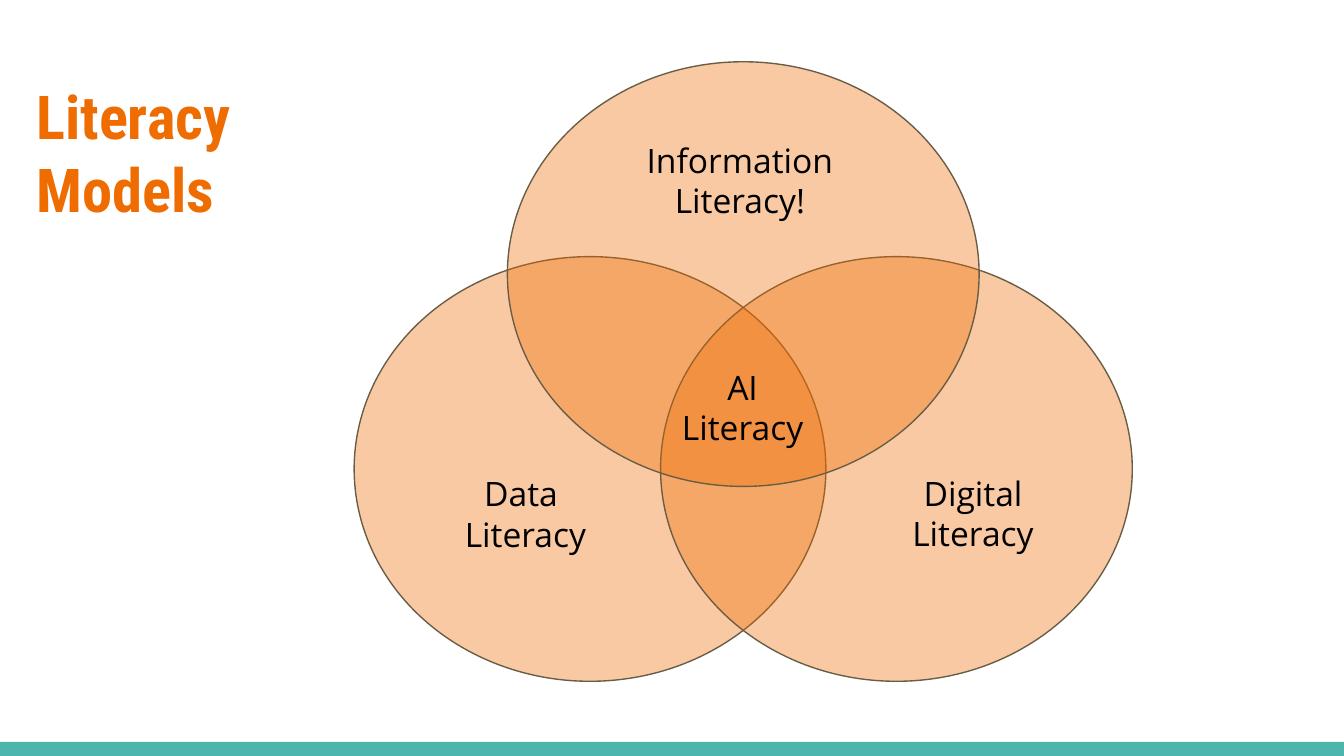
from pptx import Presentation
from pptx import util as u
from pptx.dml.color import RGBColor
from pptx.enum import shapes, text
from pptx.oxml.ns import qn
from lxml import etree

COLORS = {"orange": "EF6C00", "brown": "695D46", "teal": "4DB6AC", "black": "000000"}
TITLE = ("Literacy Models", (0.17, 0.49, 2.79, 0.77))
LABELS = [
    (["AI Literacy"], (4.93, 2.63, 1.19, 0.41)),
    (["Information Literacy!"], (4.55, 0.94, 1.91, 0.85)),
    (["Data ", "Literacy"], (3.03, 3.42, 1.76, 0.85)),
    (["Digital Literacy"], (6.46, 3.42, 1.56, 0.54)),
]
SLIDE_WIDTH = 10
SLIDE_HEIGHT = SLIDE_WIDTH * 9 / 16
BAR_TOP = 5.52
CIRCLE_SIZE = (3.51, 3.16)
VENN_CENTER, VENN_SPREAD = 5.53, 1.14
CIRCLES = [(-1, 1.91), (1, 1.91), (0, 0.46)]
OPACITY = 36


def rgb(name):
    """Look up a palette colour."""
    return RGBColor.from_string(COLORS[name])


def inches(box):
    """Convert a box to lengths."""
    return [u.Inches(value) for value in box]


def add_shape(slide, kind, box, fill):
    """Add a flat filled shape without an outline."""
    shape = slide.shapes.add_shape(kind, *inches(box))
    shape.shadow.inherit = False
    shape.fill.solid()
    shape.fill.fore_color.rgb = rgb(fill)
    shape.line.fill.background()
    return shape


def add_circle(slide, step, top):
    """Add one translucent circle of the diagram."""
    width, height = CIRCLE_SIZE
    left = VENN_CENTER + step * VENN_SPREAD - width / 2
    shape = add_shape(slide, shapes.MSO_SHAPE.OVAL, (left, top, width, height), "orange")
    color = next(shape.element.spPr.iter(qn("a:srgbClr")))
    etree.SubElement(color, qn("a:alpha"), val=str(OPACITY * 1000))
    shape.line.color.rgb = rgb("brown")
    shape.line.width = u.Pt(0.75)


def write(shape, lines, font, size, color, bold, align):
    """Fill a shape with uniformly formatted paragraphs."""
    frame = shape.text_frame
    frame.text = "\n".join(lines)
    frame.word_wrap = True
    frame.auto_size = text.MSO_AUTO_SIZE.NONE
    frame.vertical_anchor = text.MSO_ANCHOR.TOP
    frame.margin_left = frame.margin_right = u.Inches(0.1)
    frame.margin_top = frame.margin_bottom = u.Inches(0.1)
    for paragraph in frame.paragraphs:
        paragraph.alignment = align
        paragraph.line_spacing = 1.0
        paragraph.space_before = u.Pt(0)
        for run in paragraph.runs:
            run.font.name = font
            run.font.size = u.Pt(size)
            run.font.bold = bold
            run.font.color.rgb = rgb(color)


def main():
    """Build the literacy models slide."""
    presentation = Presentation()
    presentation.slide_width, presentation.slide_height = inches((SLIDE_WIDTH, SLIDE_HEIGHT))
    slide = presentation.slides.add_slide(presentation.slide_layouts[5])

    bar = (0, BAR_TOP, SLIDE_WIDTH, SLIDE_HEIGHT - BAR_TOP)
    add_shape(slide, shapes.MSO_SHAPE.RECTANGLE, bar, "teal")
    heading, box = TITLE
    title = slide.shapes.title
    title.left, title.top, title.width, title.height = inches(box)
    write(title, [heading], "Roboto Condensed", 32.4, "orange", True, text.PP_ALIGN.LEFT)

    for step, top in CIRCLES:
        add_circle(slide, step, top)
    for lines, box in LABELS:
        label = slide.shapes.add_textbox(*inches(box))
        write(label, lines, "Open Sans", 18, "black", False, text.PP_ALIGN.CENTER)

    presentation.save("out.pptx")


if __name__ == "__main__":
    main()
